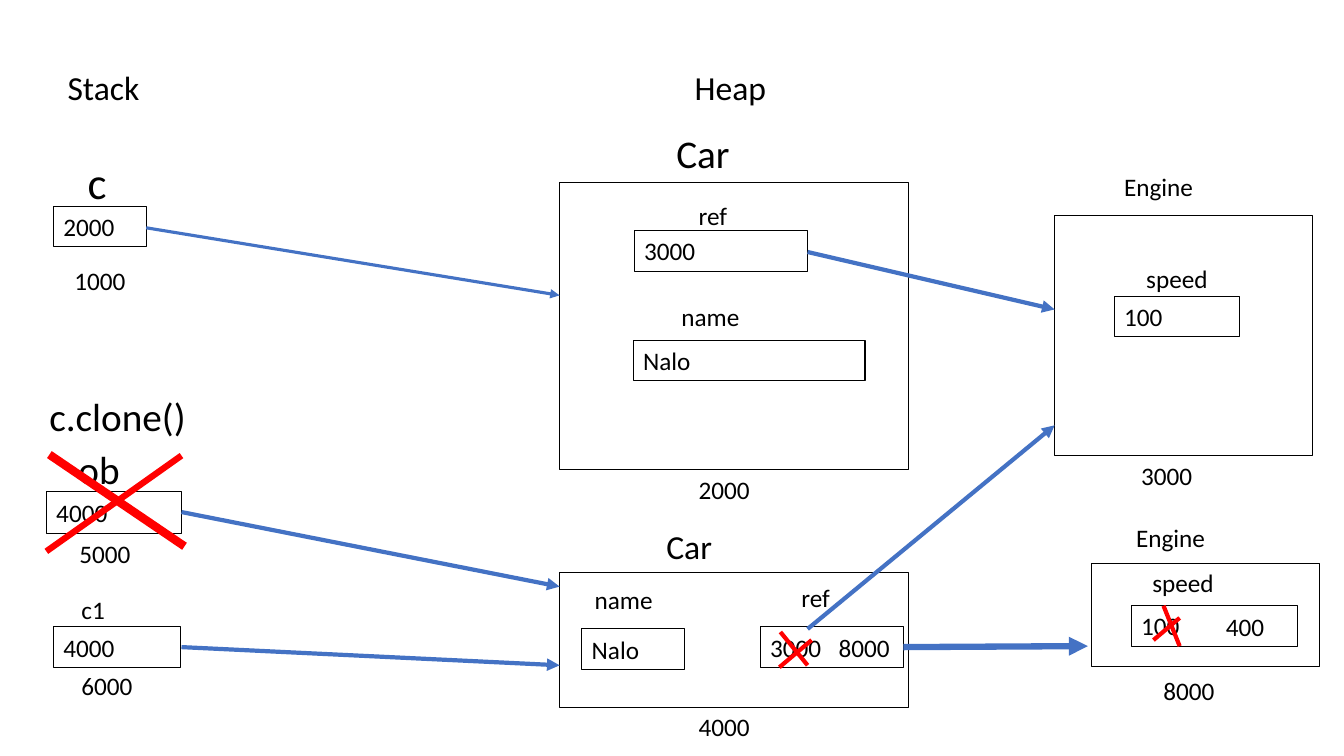
from dataclasses import dataclass

from lxml.etree import SubElement
from pptx import Presentation
from pptx.dml.color import RGBColor
from pptx.enum.shapes import MSO_CONNECTOR, MSO_SHAPE
from pptx.enum.text import MSO_ANCHOR, MSO_AUTO_SIZE, PP_ALIGN
from pptx.oxml.ns import qn
from pptx.util import Inches, Pt

BLACK = RGBColor(0x00, 0x00, 0x00)
BLUE = RGBColor(0x44, 0x72, 0xC4)
RED = RGBColor(0xFF, 0x00, 0x00)
FONT = "Calibri"
COMPARISON_LAYOUT = 4

# The slide is a grid of 133.3 columns by 75 rows
COLS, ROWS = 133.3, 75
SLIDE_W, SLIDE_H = Inches(13.33), Inches(7.5)


def col(n: float) -> int:
    return round(SLIDE_W * n / COLS)


def row(n: float) -> int:
    return round(SLIDE_H * n / ROWS)


@dataclass
class Box:
    x: float
    y: float
    w: float
    h: float = 4
    text: str = ""


@dataclass
class Label:
    text: str
    x: float
    y: float
    w: float
    size: int = 18

    @property
    def h(self) -> float:
        """One line of text plus the insets, in rows."""
        return self.size / 6 + 1


@dataclass
class Line:
    x1: float
    y1: float
    x2: float
    y2: float
    width: float = 3


HEADINGS = {1: Label("Stack", 5.7, 6.1, 16.8, 24),
            3: Label("Heap", 67.9, 6.1, 27.5, 24)}

HEAP_OBJECTS = [
    Box(55.5, 18.1, 34.6, 28.5),     # first car
    Box(104.6, 21.4, 25.6, 23.8),    # first engine
    Box(55.5, 56.8, 34.6, 13.4),     # cloned car
    Box(108.3, 55.9, 22.6, 10.2),    # second engine
]

VALUES = [
    # Stack variables
    Box(5.3, 20.5, 9.2, text="2000"),
    Box(4.6, 48.8, 13.4, 4.1, "4000"),
    Box(5.3, 62.2, 12.6, text="4000"),
    # Fields of the cars
    Box(62.9, 22.9, 17.2, text="3000"),
    Box(62.8, 33.8, 23, text="Nalo"),
    Box(75.4, 62.2, 14.2, text="3000"),
    Box(57.7, 62.4, 10.2, text="Nalo"),
    # Fields of the engines
    Box(110.5, 29.4, 12.4, text="100"),
    Box(112.2, 60.1, 16.5, text="100"),
]

LABELS = [
    # Stack names and addresses
    Label("c", 7.7, 14.9, 8.3, 32),
    Label("1000", 6.4, 25.8, 8.1),
    Label("c.clone()", 3.9, 38.4, 15.8, 28),
    Label("ob", 6.8, 43.7, 8.3, 28),
    Label("5000", 6.9, 52.9, 8.3),
    Label("c1", 7.1, 58.5, 8.3),
    Label("6000", 7.1, 66, 8.3),
    # First car
    Label("Car", 66.1, 12.3, 15.5, 28),
    Label("ref", 68.3, 19.4, 9.1),
    Label("name", 66.6, 29.4, 10.7),
    Label("2000", 68.3, 46.6, 12.2),
    # Cloned car
    Label("Car", 65.1, 51.7, 12.2, 24),
    Label("name", 58, 57.5, 10),
    Label("ref", 78.5, 57.3, 9),
    Label("8000", 82.2, 62.2, 7.1),
    Label("4000", 68.3, 70.1, 12.2),
    # First engine
    Label("Engine", 110.5, 16.5, 11.2),
    Label("speed", 112.7, 25.6, 9.3),
    Label("3000", 112.2, 45.2, 13.7),
    # Second engine
    Label("Engine", 111.7, 51.3, 12.4),
    Label("speed", 113.3, 55.8, 9.8),
    Label("400", 120.6, 60.2, 7.8),
    Label("8000", 114.4, 66.5, 12.6),
]

REFERENCES = [
    Line(14.5, 22.6, 55.5, 29.3, 2.25),
    Line(80.1, 25, 104.6, 30.7),
    Line(18, 50.8, 55.5, 58.2),
    Line(18, 64.2, 55.5, 66),
    Line(89.6, 64.2, 107.9, 64.1, 4.5),
    Line(80.1, 62.4, 104.6, 42.2),
]

STRIKES = [
    # Variable ob
    Line(4.9, 45.1, 18.3, 54.2, 6),
    Line(18, 45.2, 4.6, 54.7, 4.5),
    # Old reference of the clone
    Line(77.4, 62.7, 80.1, 66),
    Line(80.5, 63.5, 77.3, 66.2),
    # Old speed
    Line(115.4, 60.1, 117, 64.1),
    Line(117, 61.3, 114.4, 63.5),
]


def write(sp, text: str, size: int = 18) -> None:
    tf = sp.text_frame
    tf.text = text
    tf.word_wrap = True
    tf.auto_size = MSO_AUTO_SIZE.NONE
    tf.vertical_anchor = MSO_ANCHOR.TOP
    p = tf.paragraphs[0]
    p.alignment = PP_ALIGN.LEFT
    p.space_before = Pt(0)
    font = p.runs[0].font
    font.name, font.size, font.bold = FONT, Pt(size), False
    font.color.rgb = BLACK


def draw_headings(s) -> None:
    for sp in list(s.placeholders):
        label = HEADINGS.get(sp.placeholder_format.idx)
        if label is None:
            sp.element.getparent().remove(sp.element)
            continue
        sp.left, sp.top = col(label.x), row(label.y)
        sp.width, sp.height = col(label.w), row(label.h)
        write(sp, label.text, label.size)


def draw_box(s, box: Box) -> None:
    sp = s.shapes.add_shape(MSO_SHAPE.RECTANGLE, col(box.x), row(box.y),
                            col(box.w), row(box.h))
    sp.shadow.inherit = False
    sp.fill.background()
    sp.line.color.rgb = BLACK
    sp.line.width = Pt(0.75)
    if box.text:
        write(sp, box.text)


def draw_label(s, label: Label) -> None:
    sp = s.shapes.add_textbox(col(label.x), row(label.y),
                              col(label.w), row(label.h))
    write(sp, label.text, label.size)


def draw_line(s, line: Line, color: RGBColor, arrow: bool = False) -> None:
    sp = s.shapes.add_connector(MSO_CONNECTOR.STRAIGHT, col(line.x1), row(line.y1),
                                col(line.x2), row(line.y2))
    sp.line.color.rgb = color
    sp.line.width = Pt(line.width)
    if arrow:
        SubElement(sp.line._get_or_add_ln(), qn("a:tailEnd"), type="triangle")
    SubElement(sp.element.spPr, qn("a:effectLst"))


def main() -> None:
    prs = Presentation()
    prs.slide_width, prs.slide_height = SLIDE_W, SLIDE_H
    s = prs.slides.add_slide(prs.slide_layouts[COMPARISON_LAYOUT])
    draw_headings(s)
    for box in HEAP_OBJECTS + VALUES:
        draw_box(s, box)
    for label in LABELS:
        draw_label(s, label)
    for reference in REFERENCES:
        draw_line(s, reference, BLUE, arrow=True)
    for strike in STRIKES:
        draw_line(s, strike, RED)
    prs.save("out.pptx")


if __name__ == "__main__":
    main()
